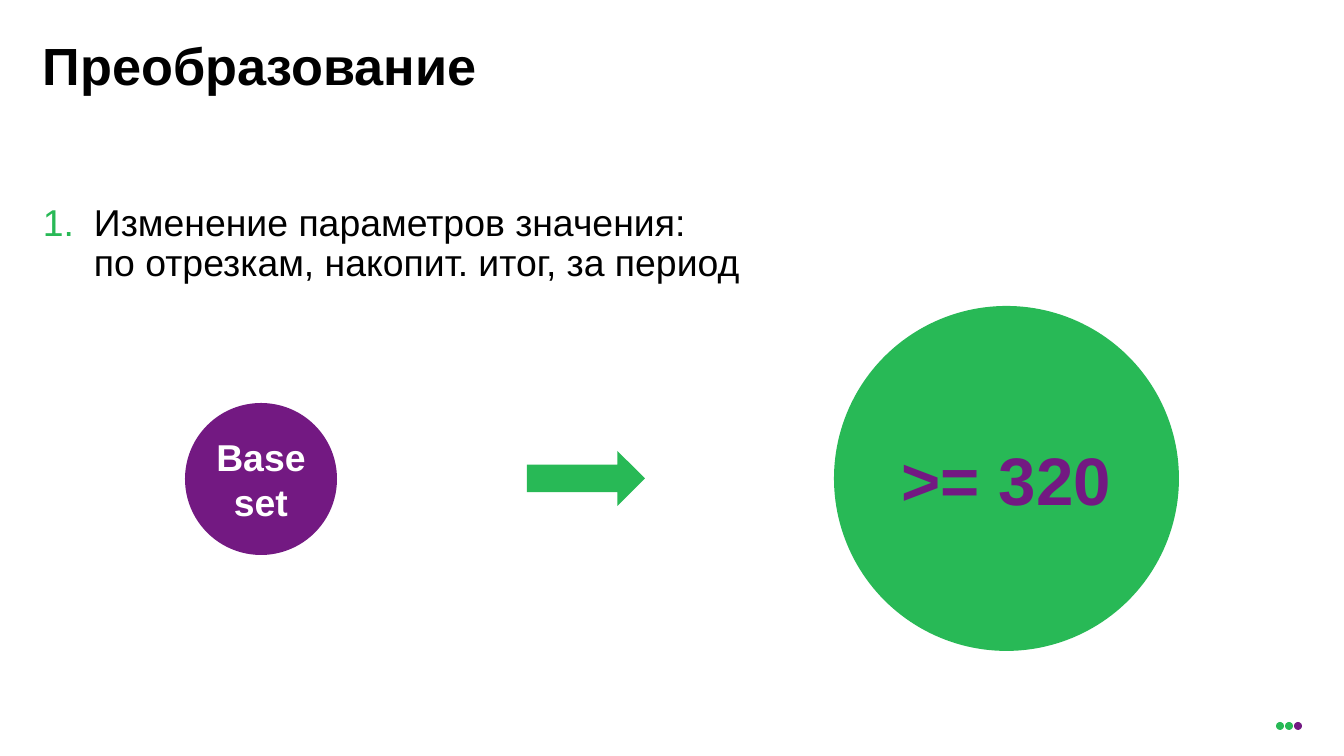
from dataclasses import dataclass

from lxml import etree
from pptx import Presentation
from pptx.dml.color import RGBColor
from pptx.enum.shapes import MSO_SHAPE
from pptx.enum.text import MSO_ANCHOR, PP_ALIGN
from pptx.oxml.ns import qn
from pptx.shapes.autoshape import Shape
from pptx.slide import Slide
from pptx.text.text import _Paragraph
from pptx.util import Emu, Pt

ELLIPSE = MSO_SHAPE.OVAL
ARROW = MSO_SHAPE.RIGHT_ARROW
TOP, MIDDLE = MSO_ANCHOR.TOP, MSO_ANCHOR.MIDDLE
LEFT, CENTER = PP_ALIGN.LEFT, PP_ALIGN.CENTER

EMU_PER_PIXEL = 914400 / 134.4
FONT = "Arial"
GREEN, PURPLE, BLACK, WHITE = "28B956", "731982", "000000", "FFFFFF"
MARGIN, TEXT_WIDTH = 43, 1259
DOT_LEFT, DOT_TOP, DOT_SIZE, DOT_STEP = 1276, 722, 8, 9


@dataclass(frozen=True)
class Figure:
    kind: MSO_SHAPE
    left: int
    top: int
    width: int
    height: int
    fill: str
    text: str = ""
    size: int = 20
    text_color: str = WHITE


def px(pixels: float) -> Emu:
    return Emu(round(pixels * EMU_PER_PIXEL))


def color(value: str) -> RGBColor:
    return RGBColor.from_string(value)


def write_text(shape: Shape, text: str, *, size: int, text_color: str = BLACK,
               bold: bool = False, align: PP_ALIGN = LEFT,
               anchor: MSO_ANCHOR = TOP, line_spacing: float = 1.0,
               space_before: float = 0) -> _Paragraph:
    frame = shape.text_frame
    frame.word_wrap = True
    frame.vertical_anchor = anchor
    frame.margin_left = frame.margin_right = 0
    frame.margin_top = frame.margin_bottom = 0
    paragraph = frame.paragraphs[0]
    paragraph.text = text
    paragraph.alignment = align
    paragraph.line_spacing = line_spacing
    paragraph.space_before = Pt(space_before)
    for run in paragraph.runs:
        run.font.name = FONT
        run.font.size = Pt(size)
        run.font.bold = bold
        run.font.color.rgb = color(text_color)
    return paragraph


def add_text_box(slide: Slide, top: int, height: int) -> Shape:
    return slide.shapes.add_textbox(px(MARGIN), px(top), px(TEXT_WIDTH), px(height))


def number_paragraph(paragraph: _Paragraph, indent: int, number_color: str) -> None:
    properties = paragraph._p.get_or_add_pPr()
    properties.set("marL", str(px(indent)))
    properties.set("indent", str(-px(indent)))
    bullet_color = etree.SubElement(properties, qn("a:buClr"))
    etree.SubElement(bullet_color, qn("a:srgbClr"), val=number_color)
    etree.SubElement(properties, qn("a:buFont"), typeface=FONT)
    etree.SubElement(properties, qn("a:buAutoNum"), type="arabicPeriod")


def draw_figure(slide: Slide, figure: Figure) -> None:
    shape = slide.shapes.add_shape(figure.kind, px(figure.left), px(figure.top),
                                   px(figure.width), px(figure.height))
    shape.shadow.inherit = False
    shape.fill.solid()
    shape.fill.fore_color.rgb = color(figure.fill)
    shape.line.fill.background()
    if figure.text:
        write_text(shape, figure.text, size=figure.size, text_color=figure.text_color,
                   bold=True, align=CENTER, anchor=MIDDLE)


def main() -> None:
    presentation = Presentation()
    presentation.slide_width, presentation.slide_height = px(1344), px(756)
    slide = presentation.slides.add_slide(presentation.slide_layouts[6])

    dots = [Figure(ELLIPSE, DOT_LEFT + index * DOT_STEP, DOT_TOP, DOT_SIZE, DOT_SIZE, fill)
            for index, fill in enumerate((GREEN, GREEN, PURPLE))]
    diagram = [
        Figure(ELLIPSE, 834, 306, 345, 345, GREEN, ">= 320", 36, PURPLE),
        Figure(ELLIPSE, 185, 403, 152, 152, PURPLE, "Base set"),
        Figure(ARROW, 527, 451, 118, 55, GREEN),
    ]

    title = add_text_box(slide, 38, 87)
    write_text(title, "Преобразование", size=28, bold=True, line_spacing=0.95)
    body = add_text_box(slide, 204, 435)
    step = write_text(body, "Изменение параметров значения:\vпо отрезкам, накопит. итог, за период",
                      size=20, line_spacing=0.9, space_before=7.5)
    number_paragraph(step, 51, GREEN)

    for figure in dots + diagram:
        draw_figure(slide, figure)
    presentation.save("out.pptx")


main()
